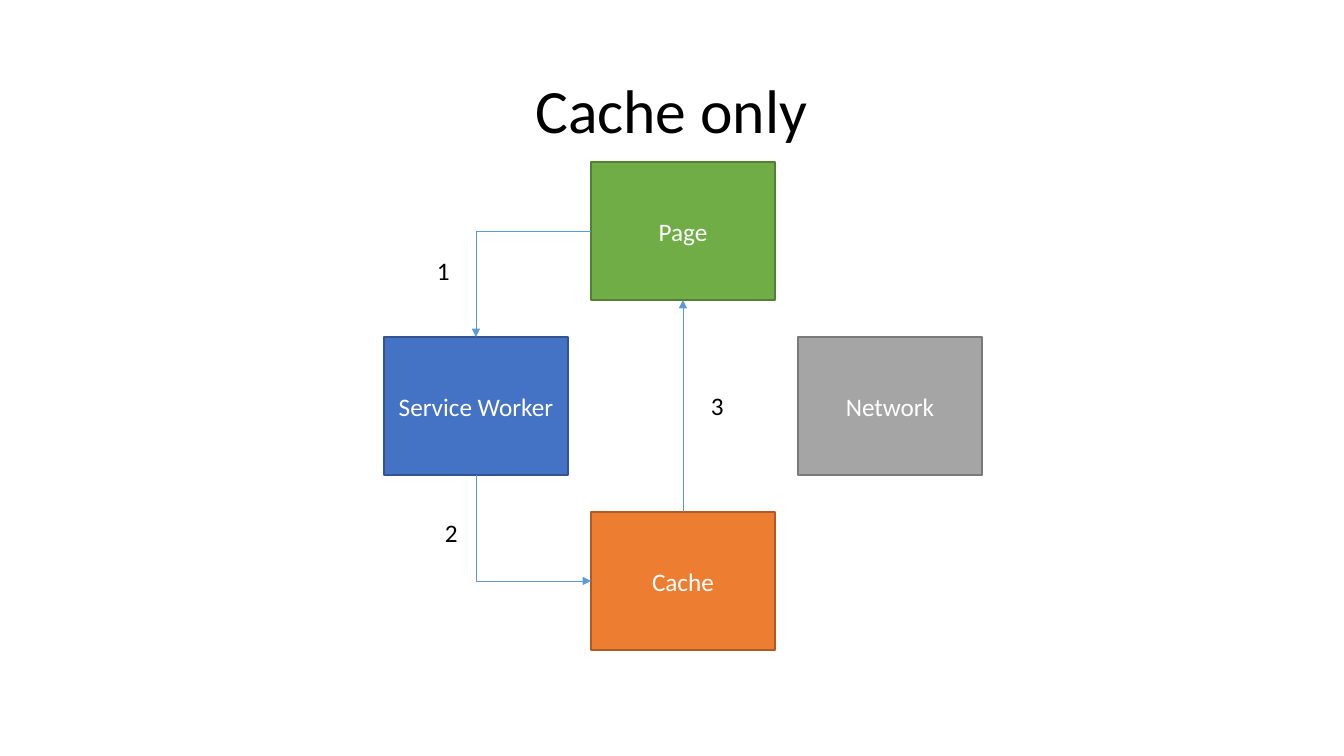
from lxml import etree
from pptx import Presentation
from pptx import util as u
from pptx.dml.color import RGBColor
from pptx.enum import shapes, text
from pptx.oxml.ns import qn


def px(*lengths):
    """Turn pixels into EMU, at 1344 px to the slide width of 13.33 inches."""
    return [u.Emu(round(length * 12192000 / 1344)) for length in lengths]


def write(shape, words, size=18, color="000000", align=text.PP_ALIGN.CENTER,
          anchor=text.MSO_ANCHOR.MIDDLE, wrap=True,
          fit=text.MSO_AUTO_SIZE.NONE, spacing=1.0):
    frame = shape.text_frame
    frame.word_wrap = wrap
    frame.auto_size = fit
    frame.vertical_anchor = anchor
    para = frame.paragraphs[0]
    para.alignment = align
    para.line_spacing = spacing
    span = para.add_run()
    span.text = words
    span.font.name = "Calibri"
    span.font.size = u.Pt(size)
    span.font.color.rgb = RGBColor.from_string(color)


deck = Presentation()
deck.slide_width, deck.slide_height = px(1344, 756)
page = deck.slides.add_slide(deck.slide_layouts[5])

title = page.shapes.title
title.left, title.top, title.width, title.height = px(92, 41, 1159, 146)
write(title, "Cache only", size=44, spacing=0.9)

boxes = {}
for name, left, top, fill, line in [
    ("Page", 591, 162, "70AD47", "538035"),
    ("Service Worker", 384, 337, "4472C4", "325491"),
    ("Network", 798, 337, "A5A5A5", "7A7A7A"),
    ("Cache", 591, 512, "ED7D31", "AF5C24"),
]:
    box = page.shapes.add_shape(
        shapes.MSO_SHAPE.RECTANGLE, *px(left, top, 184, 138))
    box.shadow.inherit = False
    box.fill.solid()
    box.fill.fore_color.rgb = RGBColor.from_string(fill)
    box.line.color.rgb = RGBColor.from_string(line)
    box.line.width = u.Pt(1)
    write(box, name, color="FFFFFF")
    boxes[name] = box

# A bent arrow leaves its first box sideways, so step 2 starts at the Cache
# and carries its arrowhead at that end.
TOP, LEFT, BOTTOM = 0, 1, 2
STRAIGHT, BENT = shapes.MSO_CONNECTOR.STRAIGHT, shapes.MSO_CONNECTOR.ELBOW
for kind, start, start_side, end, end_side, arrowhead in [
    (BENT, "Page", LEFT, "Service Worker", TOP, "a:tailEnd"),
    (BENT, "Cache", LEFT, "Service Worker", BOTTOM, "a:headEnd"),
    (STRAIGHT, "Cache", TOP, "Page", BOTTOM, "a:tailEnd"),
]:
    arrow = page.shapes.add_connector(kind, 0, 0, 0, 0)
    arrow.begin_connect(boxes[start], start_side)
    arrow.end_connect(boxes[end], end_side)
    arrow.line.color.rgb = RGBColor.from_string("5B9BD5")
    arrow.line.width = u.Pt(0.5)
    properties = arrow.element.spPr
    if kind == BENT:
        properties.find(qn("a:prstGeom")).set("prst", "bentConnector2")
    etree.SubElement(properties.find(qn("a:ln")), qn(arrowhead), type="triangle")
    etree.SubElement(properties, qn("a:effectLst"))

for step, left, top in [("1", 427, 250), ("2", 435, 512), ("3", 701, 385)]:
    label = page.shapes.add_textbox(*px(left, top, 33, 40))
    write(label, step, align=text.PP_ALIGN.LEFT, anchor=text.MSO_ANCHOR.TOP,
          wrap=False, fit=text.MSO_AUTO_SIZE.SHAPE_TO_FIT_TEXT)

deck.save("out.pptx")
